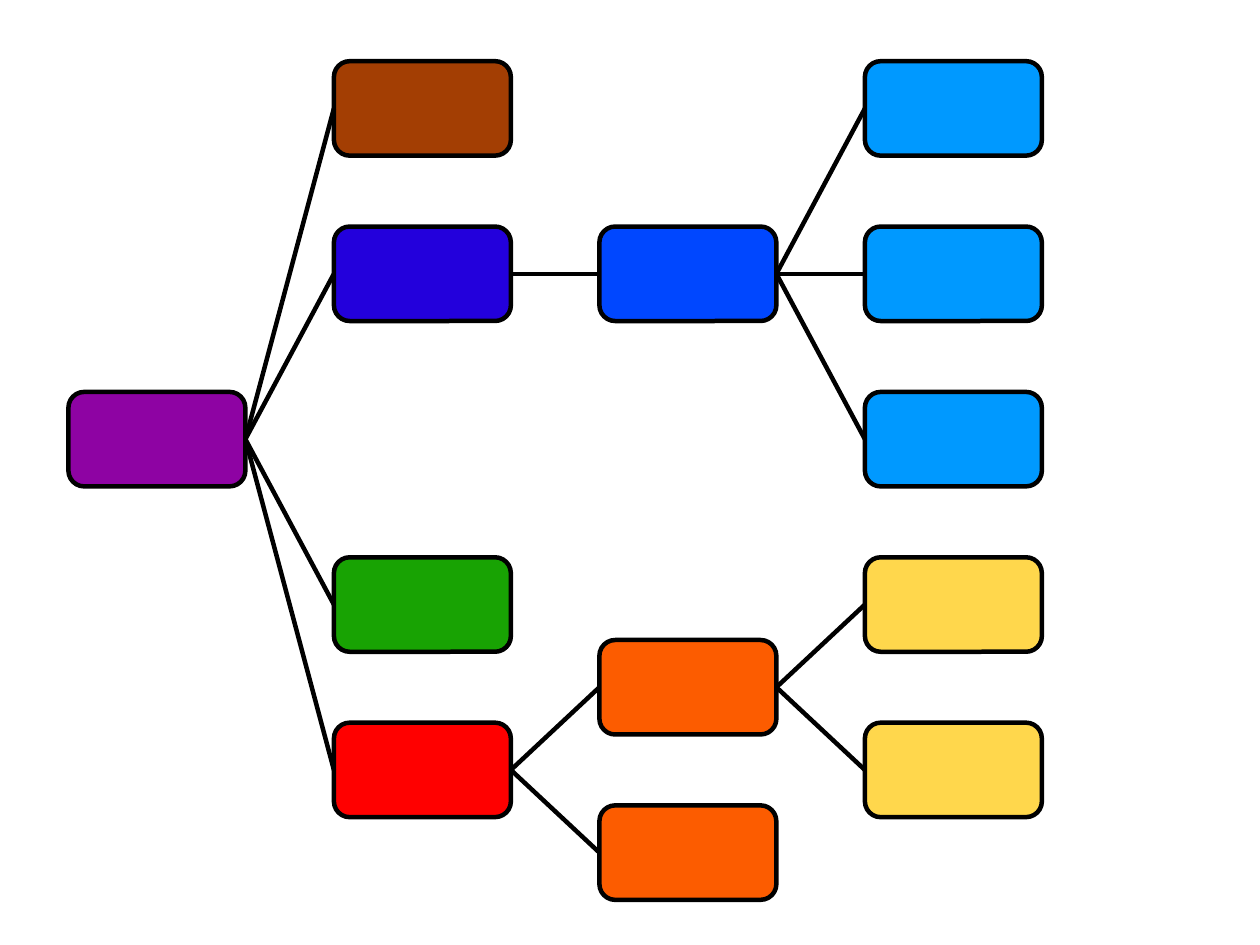
from pptx import Presentation
from pptx import util as u
from pptx.dml.color import RGBColor
from pptx.enum import shapes
from pptx.oxml.ns import qn
from lxml import etree

BLACK = RGBColor(0x00, 0x00, 0x00)
PURPLE = RGBColor(0x8E, 0x03, 0xA3)
BROWN = RGBColor(0xA3, 0x3E, 0x03)
INDIGO = RGBColor(0x23, 0x00, 0xDC)
GREEN = RGBColor(0x18, 0xA3, 0x03)
RED = RGBColor(0xFF, 0x00, 0x00)
BLUE = RGBColor(0x00, 0x47, 0xFF)
SKY = RGBColor(0x00, 0x99, 0xFF)
ORANGE = RGBColor(0xFC, 0x5C, 0x00)
YELLOW = RGBColor(0xFF, 0xD7, 0x4C)

deck = Presentation()
deck.slide_width = u.Cm(28)
deck.slide_height = u.Cm(21)
slide = deck.slides.add_slide(deck.slide_layouts[6])

LEFT, TOP = u.Cm(1.52), u.Cm(1.36)
COL = u.Cm(5.9)
WIDE = int(COL / 1.5)
HIGH = int(deck.slide_height * 0.1)
ROW = int(HIGH * 1.75)
EDGE = u.Pt(2.83)

# Each node: column, row, colour, parent's place in the list
tree = [
    (0, 2, PURPLE, None),
    (1, 0, BROWN, 0),
    (1, 1, INDIGO, 0),
    (1, 3, GREEN, 0),
    (1, 4, RED, 0),
    (2, 1, BLUE, 2),
    (2, 3.5, ORANGE, 4),
    (2, 4.5, ORANGE, 4),
    (3, 0, SKY, 5),
    (3, 1, SKY, 5),
    (3, 2, SKY, 5),
    (3, 3, YELLOW, 6),
    (3, 4, YELLOW, 6),
]

nodes = []
for col, row, color, parent in tree:
    node = slide.shapes.add_shape(
        shapes.MSO_SHAPE.ROUNDED_RECTANGLE,
        LEFT + col * COL, TOP + int(row * ROW), WIDE, HIGH)
    node.shadow.inherit = False
    node.fill.solid()
    node.fill.fore_color.rgb = color
    node.line.color.rgb = BLACK
    node.line.width = EDGE
    nodes.append(node)

    if parent is not None:
        link = slide.shapes.add_connector(shapes.MSO_CONNECTOR.STRAIGHT, 0, 0, 0, 0)
        link.begin_connect(nodes[parent], 3)
        link.end_connect(node, 1)
        link.line.color.rgb = BLACK
        link.line.width = EDGE
        etree.SubElement(link._element.spPr, qn("a:effectLst"))

deck.save("out.pptx")
